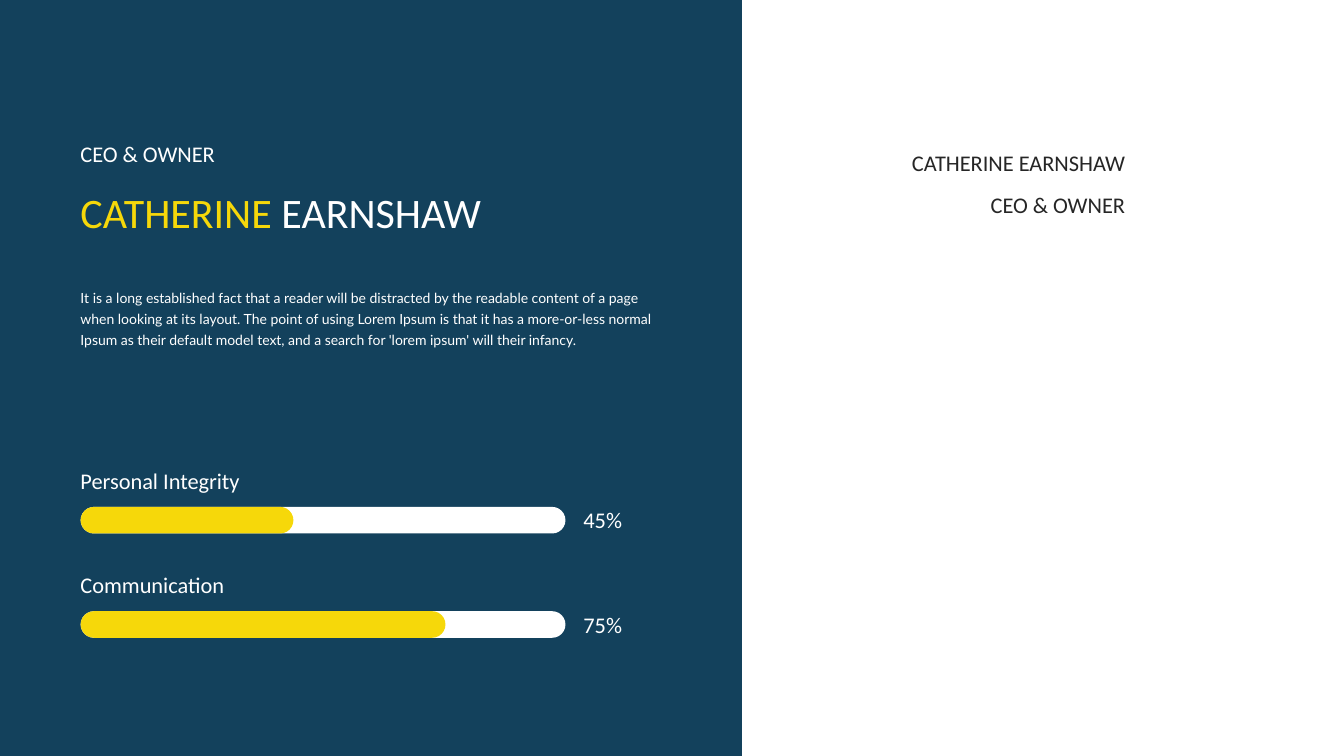
from dataclasses import dataclass
from pptx import Presentation
from pptx.dml.color import RGBColor
from pptx.enum.shapes import MSO_SHAPE
from pptx.enum.text import PP_ALIGN
from pptx.util import Pt


@dataclass(frozen=True)
class Theme:
    navy: str = "13415C"
    gold: str = "F6D80A"
    white: str = "FFFFFF"
    dark: str = "262626"
    font: str = "Calibri"
    prose: str = "Lato"
    title: int = 30
    label: int = 16
    body: int = 10


theme = Theme()

BIO = (
    "It is a long established fact that a reader will be distracted by the "
    "readable content of a page when looking at its layout. The point of using "
    "Lorem Ipsum is that it has a more-or-less normal Ipsum as their default "
    "model text, and a search for 'lorem ipsum' will their infancy."
)
SKILLS = [("Personal Integrity", "45%", 152), ("Communication", "75%", 260.6)]


def add_block(slide, kind, box, color):
    shape = slide.shapes.add_shape(kind, *map(Pt, box))
    shape.shadow.inherit = False
    shape.fill.solid()
    shape.fill.fore_color.rgb = RGBColor.from_string(color)
    shape.line.fill.background()
    return shape


def add_pill(slide, box, color):
    pill = add_block(slide, MSO_SHAPE.ROUNDED_RECTANGLE, box, color)
    pill.adjustments[0] = 0.5


def add_text(slide, box, parts, size=theme.label, font=theme.font,
             lead=20, align=PP_ALIGN.LEFT):
    frame = slide.shapes.add_textbox(*map(Pt, box)).text_frame
    frame.word_wrap = True
    line = frame.paragraphs[0]
    line.alignment = align
    line.line_spacing = Pt(lead)
    for text, color in parts:
        run = line.add_run()
        run.text = text
        run.font.size = Pt(size)
        run.font.name = font
        run.font.color.rgb = RGBColor.from_string(color)


def add_skill(slide, box, name, share, length):
    left, top, width, height = box
    add_text(slide, (left, top, 145, 27.4), [(name, theme.white)])
    bar = left + 7.2, top + 33.1
    add_pill(slide, (*bar, 346.3, 19), theme.white)
    add_pill(slide, (*bar, length, 19), theme.gold)
    add_text(slide, (left + width - 45.4, top + 28.4, 45.4, 27.4),
             [(share, theme.white)], align=PP_ALIGN.RIGHT)


def add_panel(slide, box):
    add_block(slide, MSO_SHAPE.RECTANGLE, box, theme.navy)
    left, top = box[0] + 50.4, box[1]
    add_text(slide, (left, top + 95.8, 160, 27.4),
             [("CEO & OWNER", theme.white)])
    add_text(slide, (left, top + 121, 381.6, 50.4),
             [("CATHERINE ", theme.gold), ("EARNSHAW", theme.white)],
             size=theme.title, lead=45)
    add_text(slide, (left, top + 200.2, 437.8, 51), [(BIO, theme.white)],
             size=theme.body, font=theme.prose, lead=15)
    for row, skill in enumerate(SKILLS):
        add_skill(slide, (left, top + 329 + row * 74.5, 401, 56), *skill)


def add_card(slide, box):
    left, top, width, height = box
    for row, text in enumerate(["CATHERINE EARNSHAW", "CEO & OWNER"]):
        add_text(slide, (left, top + row * 30.2, width, 27.4),
                 [(text, theme.dark)], align=PP_ALIGN.RIGHT)


def main():
    deck = Presentation()
    deck.slide_width, deck.slide_height = Pt(960), Pt(540)
    slide = deck.slides.add_slide(deck.slide_layouts[6])
    add_panel(slide, (0, 0, 530, 540))
    add_card(slide, (580.4, 102.2, 230.4, 57.6))
    deck.save("out.pptx")


if __name__ == "__main__":
    main()
